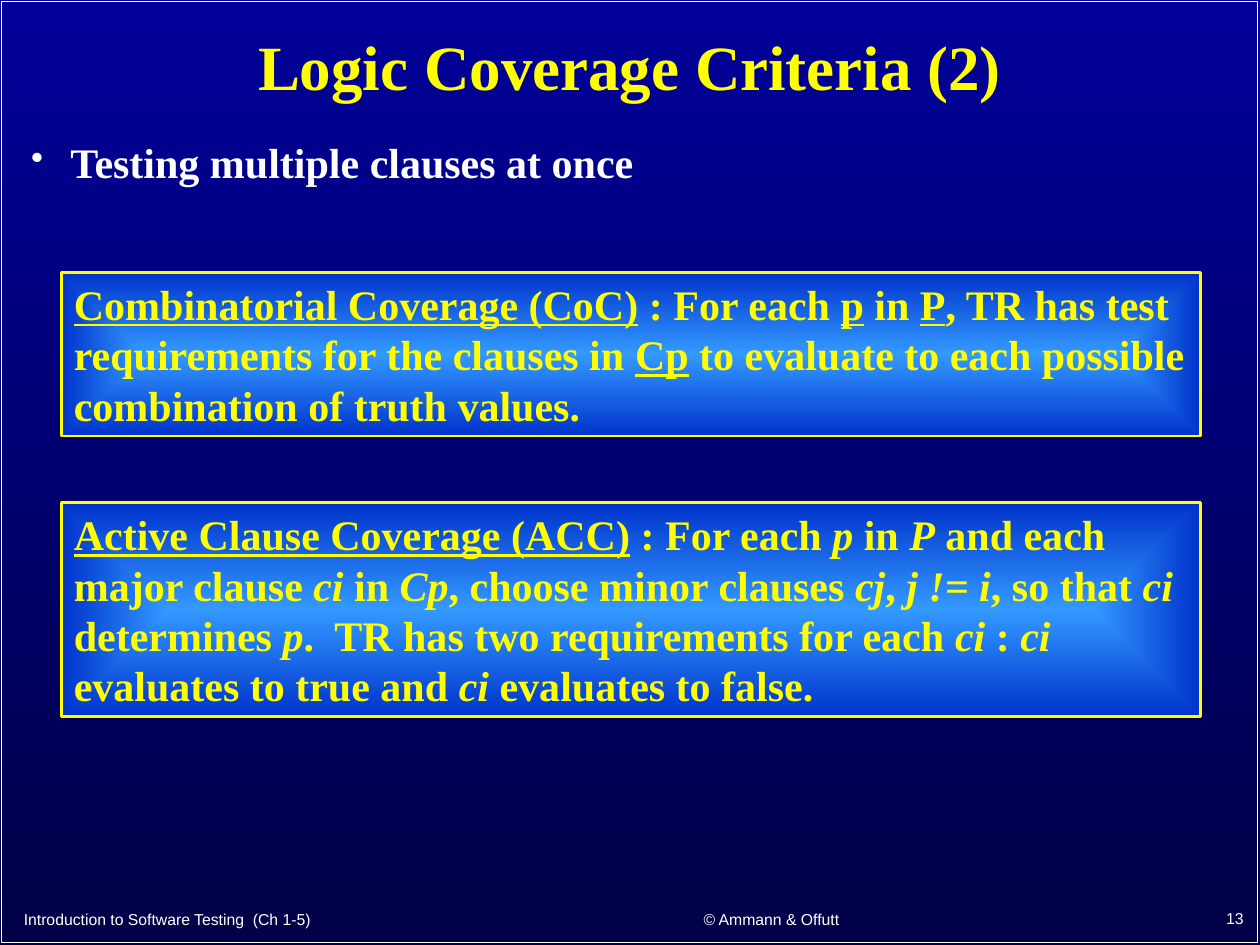
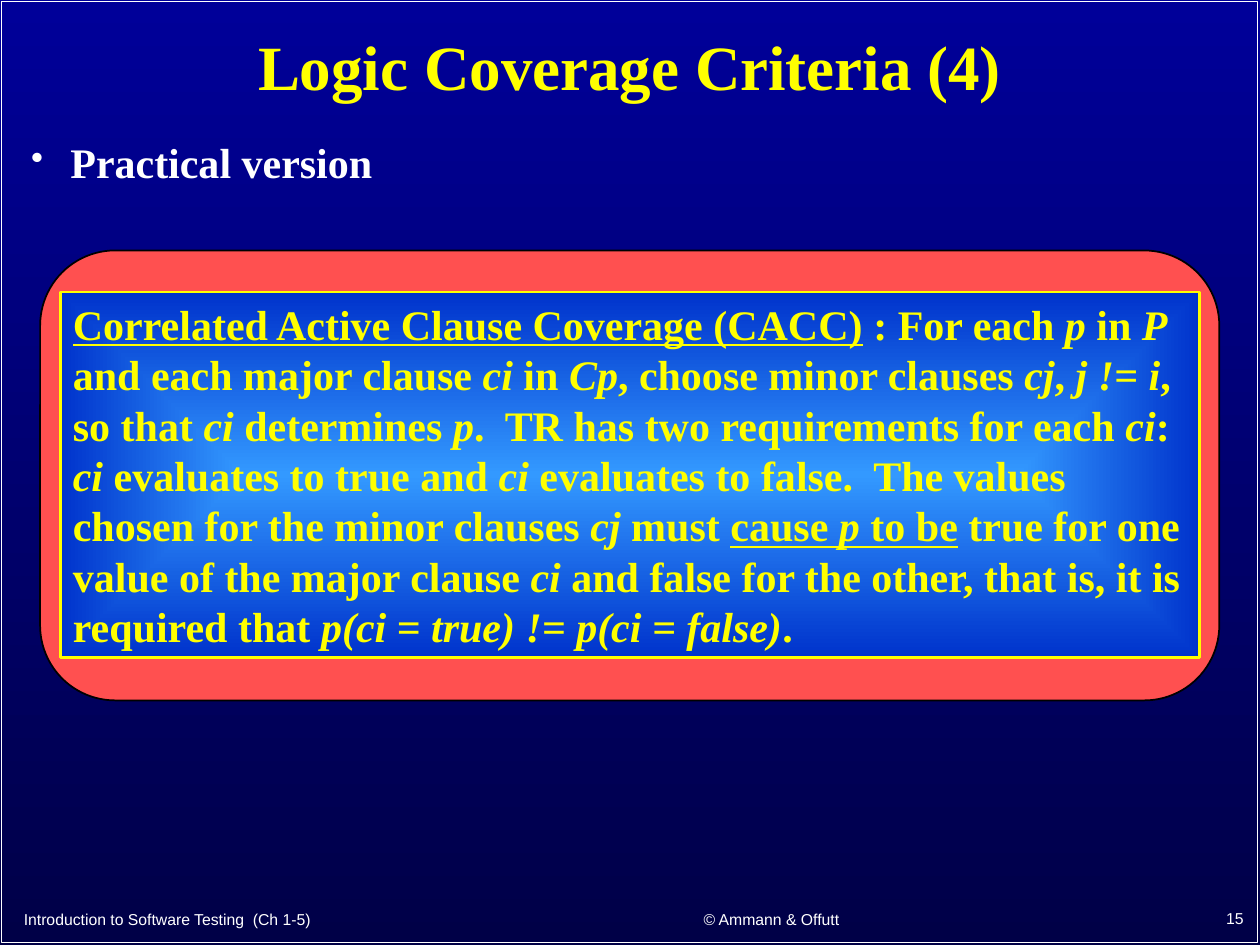
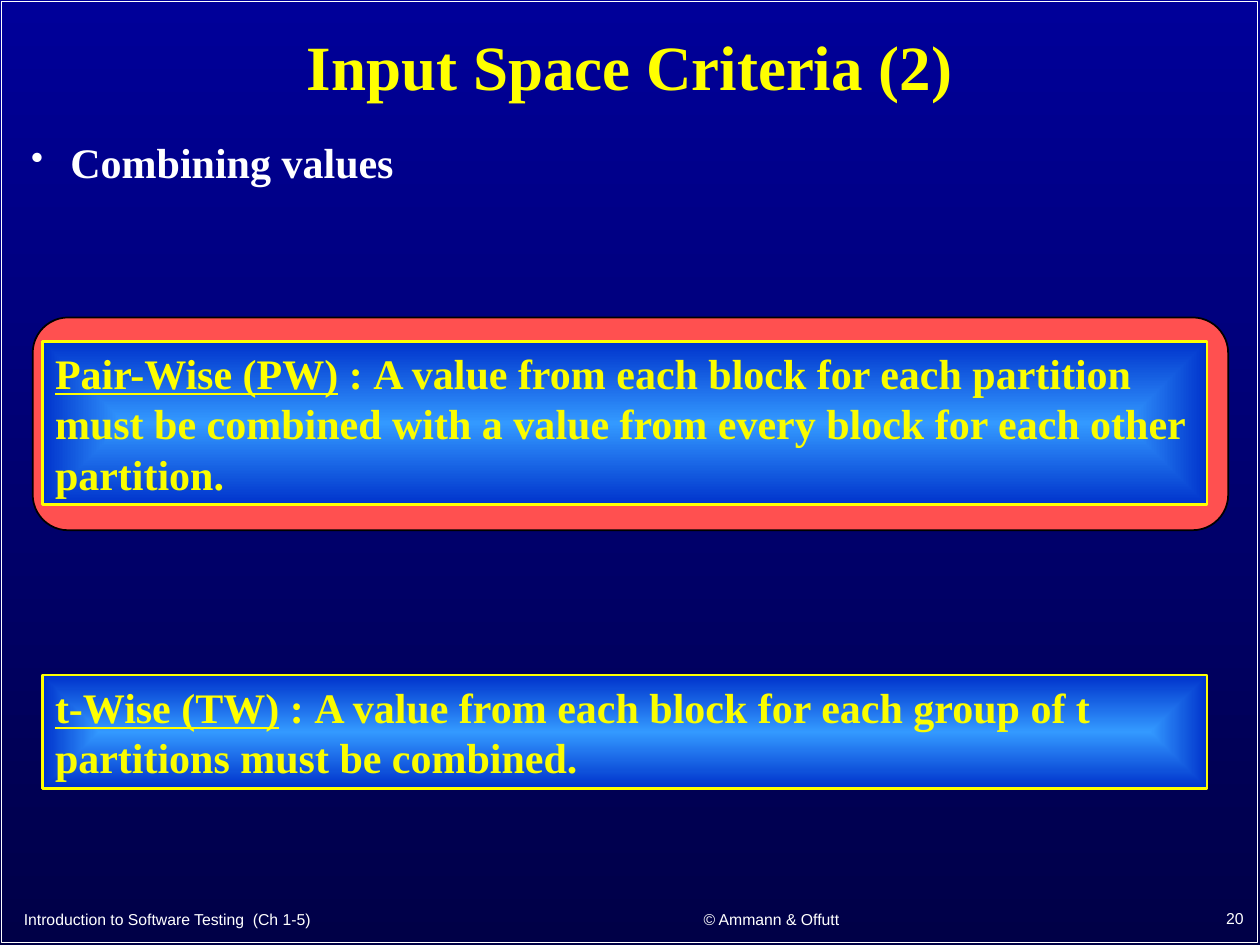
"""Build three slides on software testing coverage criteria."""
from lxml import etree
from pptx import Presentation
from pptx.dml.color import RGBColor
from pptx.enum.shapes import MSO_SHAPE as Preset
from pptx.enum.text import MSO_ANCHOR as Anchor, MSO_AUTO_SIZE as AutoSize, PP_ALIGN as Align
from pptx.oxml.ns import qn
from pptx.util import Cm, Pt

WHITE, YELLOW, LEMON, RED, BLACK = "FFFFFF", "FFFF00", "FAFD00", "FF5050", "000000"
BACKGROUND = ("000099", "000047")
GLOW = ("3399FF", "0033CC")
SERIF, SANS = "Times New Roman", "Arial"
UNDERLINE, ITALIC, PALE = MARKS = "_*~"

FRAME = (0.03, 0.03, 25.32, 18.97)
TITLE = (1.9, 0.15, 21.59, 2.54)
TOPIC = (0.38, 2.74, 24.64, 2)
FOOTERS = [
    ("Introduction to Software Testing  (Ch 1-5)", (0.23, 18.11, 10.87, 0.74), Align.LEFT),
    ("© Ammann & Offutt", (11.51, 18.08, 8.08, 0.76), Align.CENTER),
]
NUMBER = (20.04, 18.06, 5.28, 0.76)
LINE_HEIGHT, BOX_PADDING = 1.016, 0.25

SLIDES = [
    {
        "number": 13,
        "title": "Logic Coverage Criteria (2)",
        "topic": "Testing multiple clauses at once",
        "panel": None,
        "left": 1.24,
        "width": 22.96,
        "criteria": [
            (5.49, 3, "_Combinatorial Coverage (CoC)_ : For each _p_ in _P_, TR has test "
                      "requirements for the clauses in _Cp_ to evaluate to each possible "
                      "combination of truth values."),
            (10.13, 4, "_Active Clause Coverage (ACC)_ : For each *p* in *P* and each major "
                       "clause *ci* in *Cp*, choose minor clauses *cj*, *j != i*, so that *ci* "
                       "determines *p*.  TR has two requirements for each *ci* : *ci *evaluates "
                       "to true and *ci* evaluates to false."),
        ],
    },
    {
        "number": 15,
        "title": "Logic Coverage Criteria (4)",
        "topic": "Practical version",
        "panel": (0.81, 5.05, 23.77, 9.07),
        "left": 1.22,
        "width": 22.96,
        "criteria": [
            (5.89, 7, "_Correlated Active Clause Coverage (CACC)_ : For each *p* in *P* and each "
                      "major clause *ci* in *Cp*, choose minor clauses *cj*, *j != i*, so that "
                      "*ci* determines *p*.  TR has two requirements for each *ci*: *ci* "
                      "evaluates to true and *ci* evaluates to false.  The values chosen for the "
                      "minor clauses *cj* must _cause *p* to be_ true for one value of the major "
                      "clause *ci* and false for the other, that is, it is required that "
                      "*p(ci = true) != p(ci = false)*."),
        ],
    },
    {
        "number": 20,
        "title": "Input Space Criteria (2)",
        "topic": "Combining values",
        "panel": (0.66, 6.4, 24.1, 4.29),
        "left": 0.86,
        "width": 23.47,
        "criteria": [
            (6.88, 3, "_Pair-Wise (PW)_ : ~A value from each block for each partition must be "
                      "combined with a value from every block for each other partition."),
            (13.61, 2, "_t-Wise (TW)_ : ~A value from each block for each group of t partitions "
                       "must be combined."),
        ],
    },
]


def color(code):
    return RGBColor.from_string(code)


def set_gradient(fill, codes):
    fill.gradient()
    for stop, code, position in zip(fill.gradient_stops, codes, (0, 1)):
        stop.color.rgb = color(code)
        stop.position = position


def set_font(font, name, size, code, bold=False):
    font.name, font.size, font.bold = name, Pt(size), bold
    font.color.rgb = color(code)


def split_spans(markup):
    active, words = set(), ""
    for letter in markup:
        if letter in MARKS:
            if words:
                yield words, set(active)
            active ^= {letter}
            words = ""
        else:
            words += letter
    if words:
        yield words, active


def add_text(page, text, place, align=Align.LEFT, anchor=Anchor.TOP, wrap=True):
    box = page.shapes.add_textbox(*map(Cm, place))
    frame = box.text_frame
    frame.word_wrap, frame.vertical_anchor = wrap, anchor
    frame.text = text
    para = frame.paragraphs[0]
    para.alignment = align
    return para


def add_outline(page, preset, place, line, width):
    shape = page.shapes.add_shape(preset, *map(Cm, place))
    shape.shadow.inherit = False
    shape.fill.background()
    shape.line.color.rgb = color(line)
    shape.line.width = Pt(width)
    return shape


def add_bullet(para, code, percent):
    props = para._p.get_or_add_pPr()
    props.set("marL", str(Cm(0.79)))
    props.set("indent", str(-Cm(0.79)))
    tint = etree.SubElement(props, qn("a:buClr"))
    etree.SubElement(tint, qn("a:srgbClr"), val=code)
    etree.SubElement(props, qn("a:buSzPct"), val=str(percent * 1000))
    etree.SubElement(props, qn("a:buChar"), char="•")


def add_footer(page, text, place, align):
    para = add_text(page, text, place, align, Anchor.BOTTOM, wrap=False)
    set_font(para.runs[0].font, SANS, 9, WHITE)


def add_criterion(page, place, markup):
    box = add_outline(page, Preset.RECTANGLE, place, YELLOW, 1.5)
    set_gradient(box.fill, GLOW)
    gradient = box.element.spPr.find(qn("a:gradFill"))
    gradient.remove(gradient.find(qn("a:lin")))
    path = etree.SubElement(gradient, qn("a:path"), path="rect")
    etree.SubElement(path, qn("a:fillToRect"), l="50000", t="50000", r="50000", b="50000")
    frame = box.text_frame
    frame.word_wrap, frame.vertical_anchor = True, Anchor.TOP
    frame.auto_size = AutoSize.SHAPE_TO_FIT_TEXT
    para = frame.paragraphs[0]
    para.alignment = Align.LEFT
    for words, marks in split_spans(markup):
        span = para.add_run()
        span.text = words
        set_font(span.font, SERIF, 24, LEMON if PALE in marks else YELLOW, bold=True)
        span.font.underline = UNDERLINE in marks
        span.font.italic = ITALIC in marks


def add_page(deck, content):
    page = deck.slides.add_slide(deck.slide_layouts[6])
    set_gradient(page.background.fill, BACKGROUND)
    page.background.fill.gradient_angle = 270
    add_outline(page, Preset.RECTANGLE, FRAME, WHITE, 1)
    for footer in FOOTERS:
        add_footer(page, *footer)
    add_footer(page, str(content["number"]), NUMBER, Align.RIGHT)
    if content["panel"]:
        panel = add_outline(page, Preset.ROUNDED_RECTANGLE, content["panel"], BLACK, 1)
        panel.fill.solid()
        panel.fill.fore_color.rgb = color(RED)
    title = add_text(page, content["title"], TITLE, Align.CENTER, Anchor.MIDDLE)
    set_font(title.runs[0].font, SERIF, 36, YELLOW, bold=True)
    topic = add_text(page, content["topic"], TOPIC)
    add_bullet(topic, WHITE, 85)
    set_font(topic.runs[0].font, SERIF, 24, WHITE, bold=True)
    title.line_spacing = topic.line_spacing = 0.9
    for top, lines, markup in content["criteria"]:
        height = BOX_PADDING + lines * LINE_HEIGHT
        add_criterion(page, (content["left"], top, content["width"], height), markup)


def main():
    deck = Presentation()
    deck.slide_width, deck.slide_height = Cm(25.4), Cm(19.05)
    for content in SLIDES:
        add_page(deck, content)
    deck.save("out.pptx")


if __name__ == "__main__":
    main()
